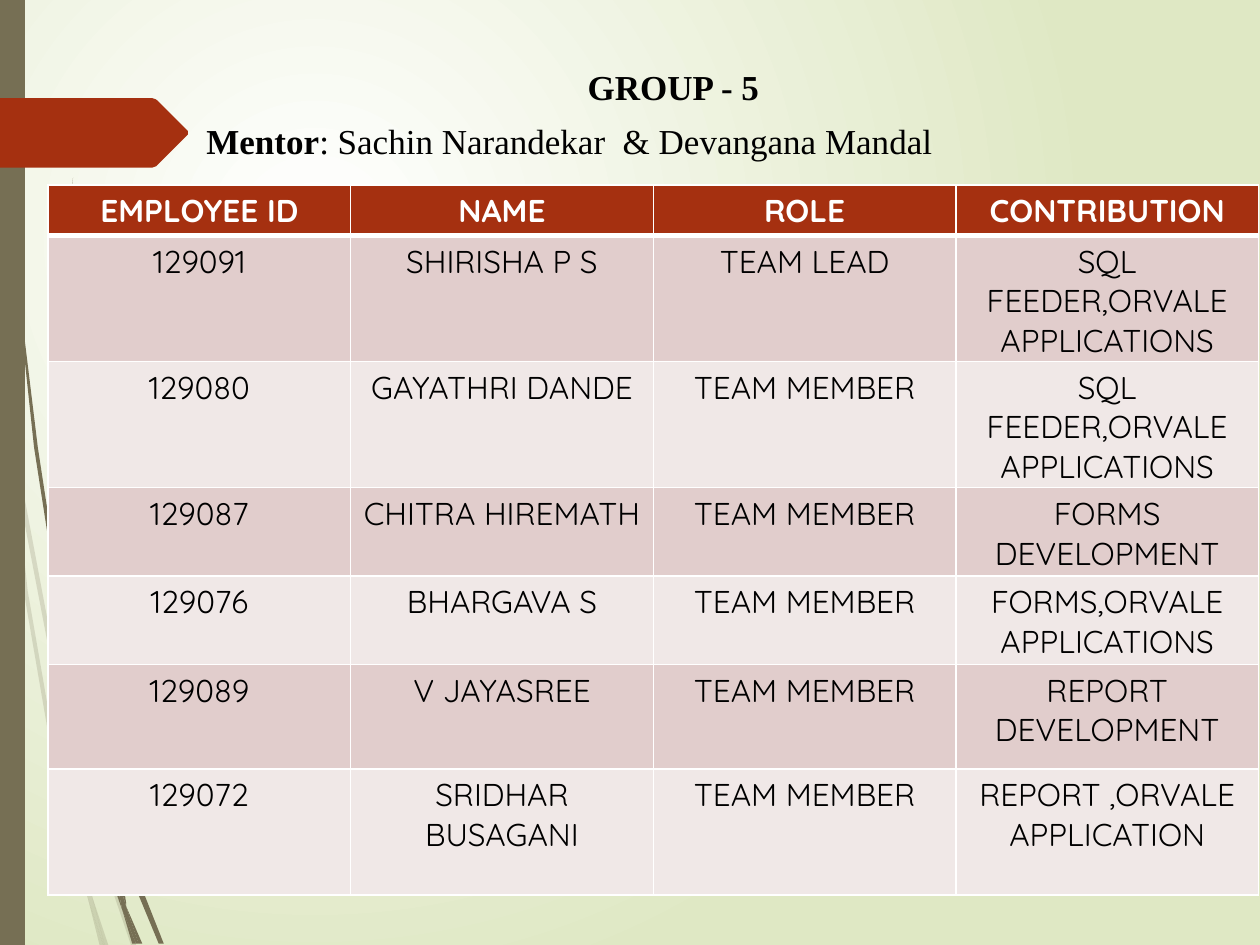
from lxml import etree
from pptx import Presentation, util as u
from pptx.dml.color import RGBColor
from pptx.enum import text
from pptx.oxml.ns import qn

COLORS = {
    "olive": "766F54", "rust": "A53010", "white": "FFFFFF", "black": "000000",
    "mist": "DFE8C4", "rose": "E1CDCC", "blush": "F0E8E7",
}
HUNDREDTH_INCH = u.Cm(0.0254)

FAINT_STRANDS = [
    [(8, 350), (6, 322), (0, 282), (0, 299), (7, 344)],
    [(40, 522), (59, 599), (59, 586), (43, 520), (10, 345), (12, 376)],
    [(64, 607), (61, 596), (61, 610), (85, 694), (104, 750), (108, 750), (88, 692)],
    [(83, 750), (86, 750), (73, 711)],
    [(64, 683), (48, 619), (22, 469), (12, 376), (8, 350), (19, 470), (45, 621),
     (64, 693), (70, 714), (69, 707)],
    [(58, 599), (60, 646), (64, 683), (67, 692), (73, 711), (72, 706), (63, 646),
     (61, 610), (61, 608)],
    [(61, 584), (76, 462), (111, 349), (159, 245), (187, 198), (201, 175), (217, 154),
     (217, 153), (201, 175), (186, 197), (158, 244), (110, 348), (75, 461), (59, 584),
     (59, 586), (61, 596)],
    [(70, 714), (79, 750), (82, 750)],
    [(61, 608), (61, 610), (61, 596), (59, 586), (58, 599)],
    [(67, 692), (65, 683), (69, 707), (70, 714), (82, 750), (83, 750), (73, 711)],
]
DARK_STRANDS = [
    [(5, 110), (14, 233), (27, 355), (46, 477), (47, 481), (45, 457), (45, 453),
     (30, 355), (15, 232), (6, 109), (4, 48), (3, 0), (2, 0), (3, 48)],
    [(73, 592), (88, 645), (88, 633), (88, 631), (77, 590), (50, 472), (53, 505)],
    [(94, 649), (91, 641), (91, 656), (109, 708), (126, 749), (130, 749), (113, 706)],
    [(91, 691), (81, 657), (60, 556), (53, 505), (47, 477), (56, 557), (77, 659),
     (92, 708), (97, 722), (96, 717)],
    [(50, 472), (48, 453), (44, 349), (48, 245), (52, 193), (58, 141), (51, 193),
     (47, 245), (43, 349), (45, 449), (49, 472)],
    [(110, 749), (113, 749), (100, 719)],
    [(47, 477), (53, 505), (50, 472), (49, 472), (45, 449), (45, 453)],
    [(91, 633), (103, 552), (131, 476), (169, 406), (191, 374), (203, 359), (216, 344),
     (215, 344), (203, 358), (191, 373), (168, 405), (129, 474), (101, 551), (88, 631),
     (91, 641)],
    [(97, 722), (105, 749), (108, 749)],
    [(88, 645), (91, 691), (96, 706), (100, 719), (100, 716), (91, 656), (90, 651)],
    [(88, 645), (90, 651), (91, 656), (91, 641), (88, 631), (88, 633)],
    [(96, 706), (91, 691), (96, 717), (97, 722), (108, 749), (110, 749), (100, 719)],
]
ARROW = [(0, 0), (121, 0), (124, 1), (149, 26), (149, 29), (124, 54), (121, 55), (0, 55)]

HEADINGS = ["EMPLOYEE ID", "NAME", "ROLE", "CONTRIBUTION"]
TEAM = [
    ["129091", "SHIRISHA P S", "TEAM LEAD", "SQL FEEDER,ORVALE APPLICATIONS"],
    ["129080", "GAYATHRI DANDE", "TEAM MEMBER", "SQL FEEDER,ORVALE APPLICATIONS"],
    ["129087", "CHITRA HIREMATH", "TEAM MEMBER", "FORMS DEVELOPMENT"],
    ["129076", "BHARGAVA S", "TEAM MEMBER", "FORMS,ORVALE APPLICATIONS"],
    ["129089", "V JAYASREE", "TEAM MEMBER", "REPORT DEVELOPMENT"],
    ["129072", "SRIDHAR BUSAGANI", "TEAM MEMBER", "REPORT ,ORVALE APPLICATION"],
]
ROW_HEIGHTS = [1.02, 2.54, 2.54, 1.78, 1.78, 2.11, 2.54]


def color(name):
    return RGBColor.from_string(COLORS[name])


def paint_background(page):
    fill = page.background.fill
    fill.gradient()
    for stop, name in zip(fill.gradient_stops, ("white", "mist")):
        stop.color.rgb = color(name)
    gradient = page.element.find(".//" + qn("a:gradFill"))
    gradient.remove(gradient.find(qn("a:lin")))
    circle = etree.SubElement(gradient, qn("a:path"), path="circle")
    etree.SubElement(circle, qn("a:fillToRect"), l="50000", t="50000", r="100000", b="100000")


def draw_outline(shapes, left, top, points, fill, opacity=100):
    builder = shapes.build_freeform(*points[0], scale=HUNDREDTH_INCH)
    builder.add_line_segments(points[1:], close=True)
    outline = builder.convert_to_shape(left, top)
    outline.shadow.inherit = False
    outline.fill.solid()
    outline.fill.fore_color.rgb = color(fill)
    outline.line.fill.background()
    if opacity < 100:
        tint = outline.element.spPr.find(".//" + qn("a:srgbClr"))
        etree.SubElement(tint, qn("a:alpha"), val=str(opacity * 1000))


def draw_side_art(page, left, top):
    for strands, opacity in ((FAINT_STRANDS, 20), (DARK_STRANDS, 100)):
        group = page.shapes.add_group_shape()
        for strand in strands:
            draw_outline(group.shapes, left, top, strand, "olive", opacity)
    bar = [(0, 0), (20, 0), (20, 750), (0, 750)]
    draw_outline(page.shapes, left, top, bar, "olive")
    draw_outline(page.shapes, left, top + u.Cm(1.98), ARROW, "rust")


def add_span(para, words, size, font, ink, bold):
    span = para.add_run()
    span.text = words
    span.font.size = u.Pt(size)
    span.font.name = font
    span.font.bold = bold
    span.font.color.rgb = color(ink)


def add_caption(page, left, top, width, height, align, spans):
    box = page.shapes.add_textbox(left, top, width, height)
    box.text_frame.word_wrap = True
    para = box.text_frame.paragraphs[0]
    para.alignment = align
    for words, bold in spans:
        add_span(para, words, 20, "Times New Roman", "black", bold)


def add_border(cell, side, width):
    border = etree.SubElement(cell._tc.get_or_add_tcPr(), qn("a:" + side), w=str(u.Pt(width)))
    fill = etree.SubElement(border, qn("a:solidFill"))
    etree.SubElement(fill, qn("a:srgbClr"), val=COLORS["white"])


def add_team_table(page, left, top, width):
    rows = [HEADINGS] + TEAM
    heights = [u.Cm(height) for height in ROW_HEIGHTS]
    frame = page.shapes.add_table(len(rows), len(HEADINGS), left, top, width, sum(heights))
    table = frame.table
    table.horz_banding = False
    for row, height in zip(table.rows, heights):
        row.height = height
    for r, row in enumerate(rows):
        header = r == 0
        fill = "rust" if header else "rose" if r % 2 else "blush"
        for c, words in enumerate(row):
            cell = table.cell(r, c)
            for side in ("lnL", "lnR", "lnT", "lnB"):
                thick = (r, side) in ((0, "lnB"), (1, "lnT"))
                add_border(cell, side, 3 if thick else 1)
            cell.fill.solid()
            cell.fill.fore_color.rgb = color(fill)
            para = cell.text_frame.paragraphs[0]
            para.alignment = text.PP_ALIGN.CENTER
            add_span(para, words, 18, "Quicksand", "white" if header else "black", header)


def main():
    deck = Presentation()
    deck.slide_width, deck.slide_height = u.Cm(25.4), u.Cm(19.05)
    page = deck.slides.add_slide(deck.slide_layouts[6])
    paint_background(page)
    draw_side_art(page, u.Cm(0), u.Cm(0))
    add_caption(page, u.Cm(10.31), u.Cm(1.19), u.Cm(6.53), u.Cm(1.12),
                text.PP_ALIGN.CENTER, [("GROUP - 5", True)])
    add_caption(page, u.Cm(3.91), u.Cm(2.29), u.Cm(31.06), u.Cm(1.12), text.PP_ALIGN.LEFT,
                [("Mentor", True), (": Sachin Narandekar  & Devangana Mandal", False)])
    add_team_table(page, u.Cm(0.97), u.Cm(3.73), u.Cm(24.4))
    deck.save("out.pptx")


if __name__ == "__main__":
    main()
